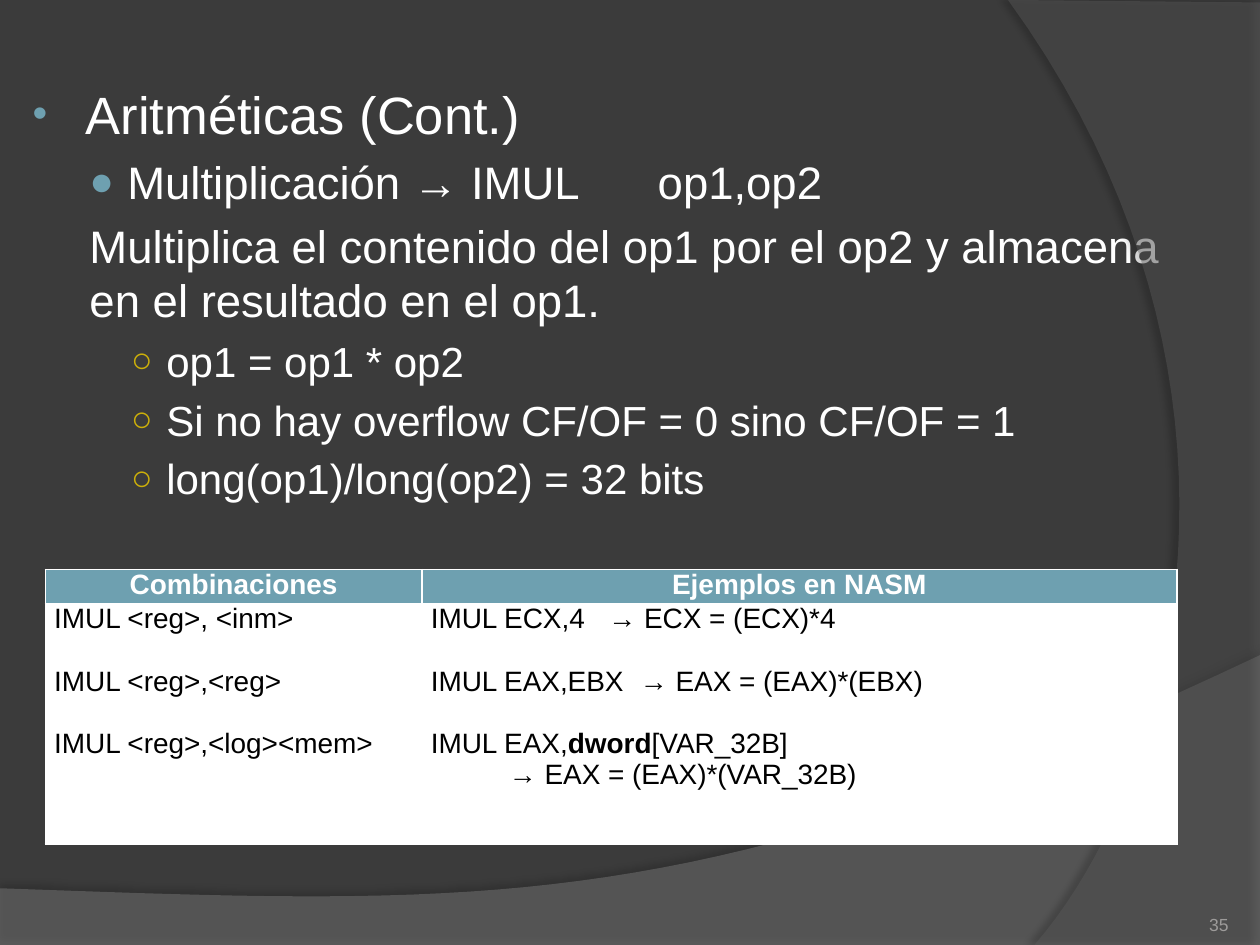
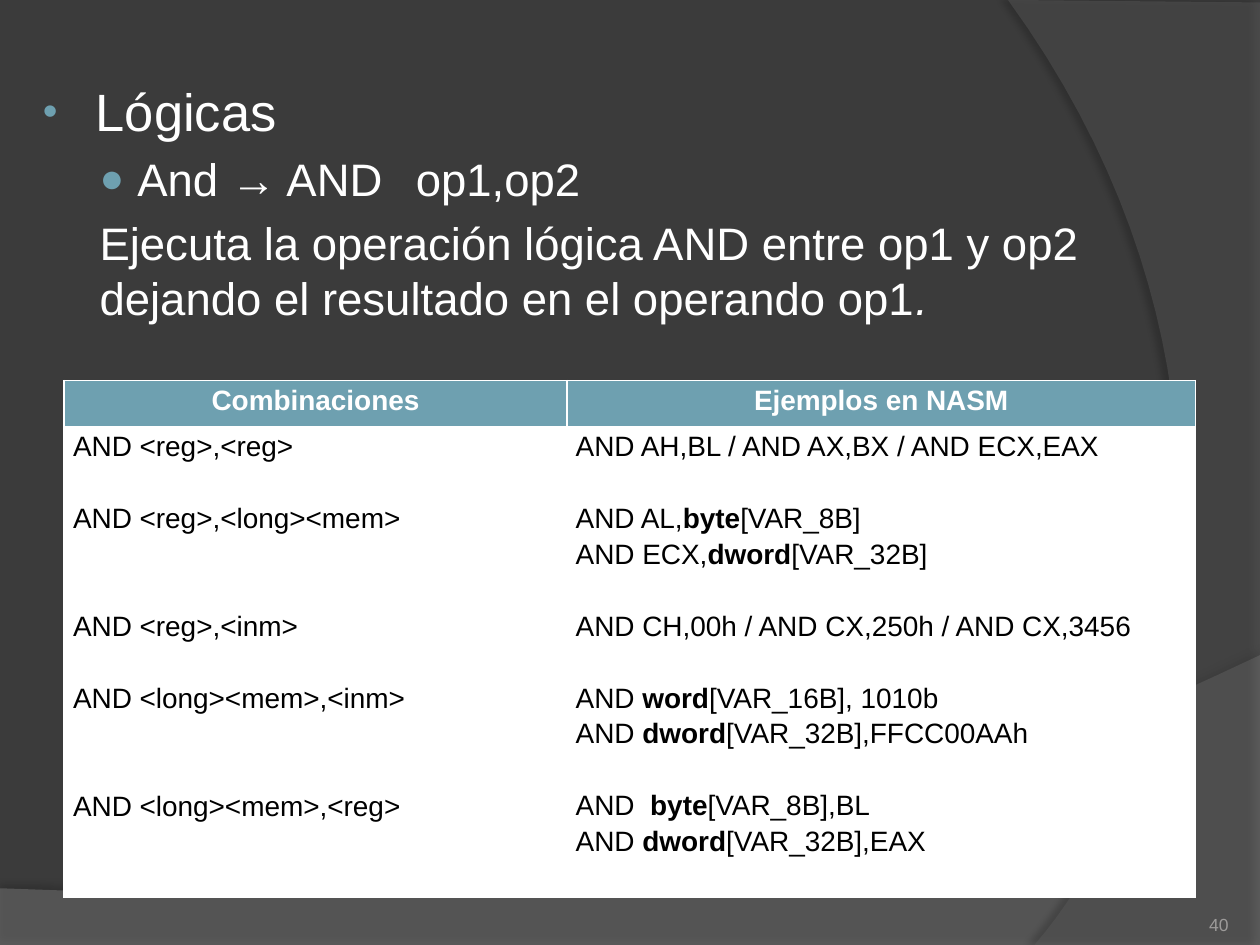
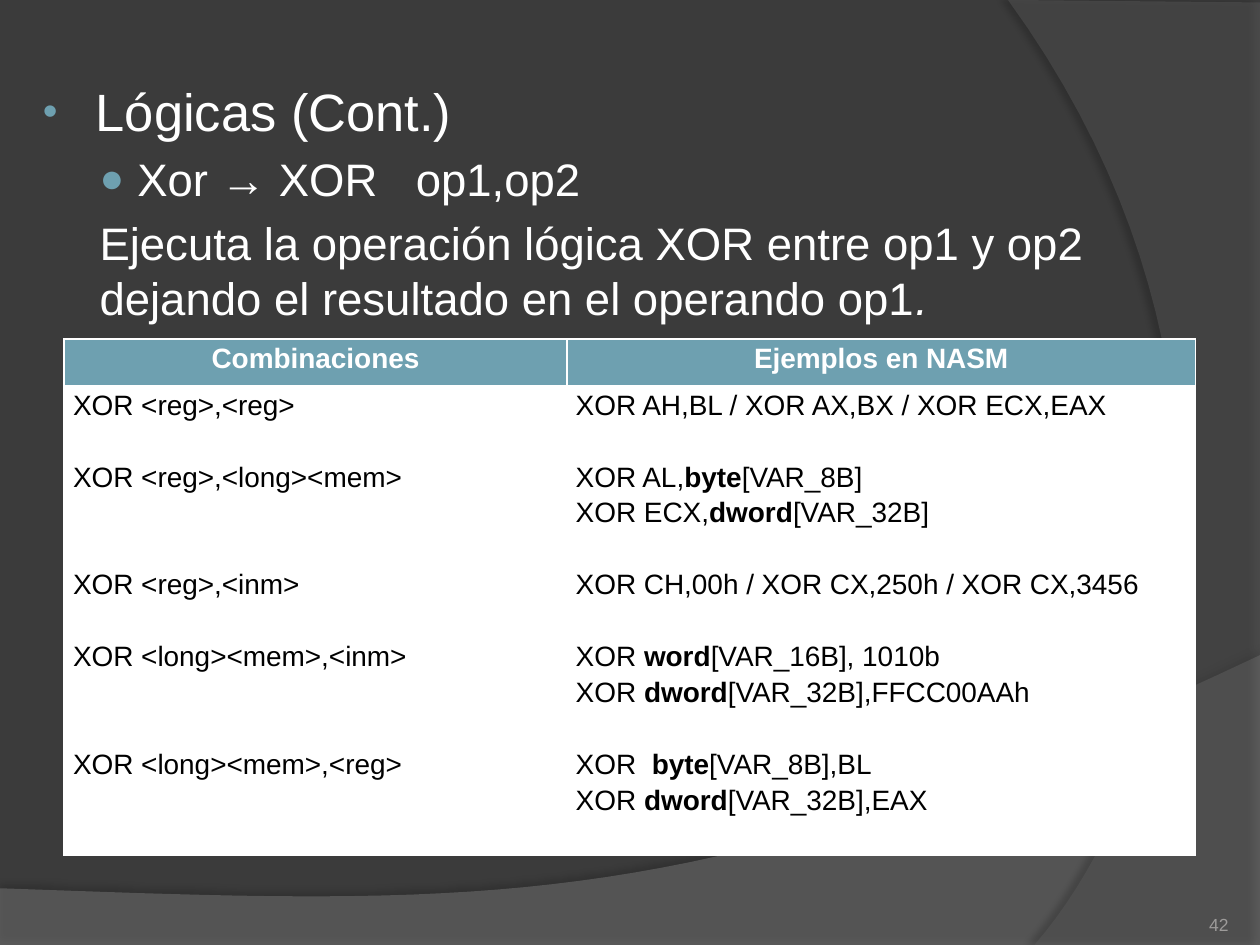
from lxml.etree import SubElement
from pptx import Presentation
from pptx.dml.color import RGBColor
from pptx.enum.text import MSO_ANCHOR as Anchor, MSO_AUTO_SIZE as AutoSize, PP_ALIGN as Align
from pptx.oxml.ns import qn
from pptx.util import Inches, Pt

COLORS = {
    "background": "3B3B3B",
    "lower_band": "7F7F7F",
    "right_band": "5E5E5E",
    "shadow": "000000",
    "accent": "6EA0B0",
    "gold": "CCAF0A",
    "light": "FFFFFF",
    "dark": "000000",
    "number": "9D9B9A",
}
FONT = "Arial"
CELL_SIZE = 16
CELL_LINE = 1.117 * CELL_SIZE
STYLES = {
    "heading": dict(level=0, size=30, margin=0.46, indent=-0.42, bullet=("•", "accent", 80)),
    "operation": dict(level=1, size=26, margin=0.79, indent=-0.3, bullet=("●", "accent", 90)),
    "description": dict(level=1, size=26, margin=0.49, indent=0, bullet=None),
    "detail": dict(level=2, size=24, margin=1.1, indent=-0.28, bullet=("○", "gold", 85)),
}


def rgb(name):
    return RGBColor.from_string(COLORS[name])


def add_element(parent, tag, **attributes):
    return SubElement(parent, qn(tag), {key: str(value) for key, value in attributes.items()})


def add_color(parent, name, alpha=None):
    color = add_element(parent, "a:srgbClr", val=COLORS[name])
    if alpha is not None:
        add_element(color, "a:alpha", val=alpha * 1000)


def add_run(paragraph, text, size, color, bold=False, italic=False):
    run = paragraph.add_run()
    run.text = text
    font = run.font
    font.name, font.size, font.bold, font.italic = FONT, Pt(size), bold, italic
    font.color.rgb = rgb(color)


def add_marked_runs(paragraph, text, size, color, emphasis):
    for index, piece in enumerate(text.split("|")):
        if piece:
            add_run(paragraph, piece, size, color, **{emphasis: index % 2 == 1})


def get_paragraph(frame, index):
    return frame.paragraphs[0] if index == 0 else frame.add_paragraph()


def curve(start, control_1, control_2, end, steps=40):
    points = []
    for step in range(1, steps + 1):
        t = step / steps
        weights = ((1 - t) ** 3, 3 * t * (1 - t) ** 2, 3 * t * t * (1 - t), t ** 3)
        corners = (start, control_1, control_2, end)
        points.append(tuple(sum(w * corner[axis] for w, corner in zip(weights, corners))
                            for axis in (0, 1)))
    return points


def add_band(slide, points, color, alpha, shadow_alpha, distance, direction):
    outline = [(Inches(x), Inches(y)) for x, y in points]
    builder = slide.shapes.build_freeform(*outline[0])
    builder.add_line_segments(outline[1:], close=True)
    shape = builder.convert_to_shape()
    shape.fill.solid()
    shape.fill.fore_color.rgb = rgb(color)
    shape.line.fill.background()
    shape.shadow.inherit = False
    properties = shape._element.spPr
    add_element(properties.find(qn("a:solidFill"))[0], "a:alpha", val=alpha * 1000)
    shadow = add_element(properties.find(qn("a:effectLst")), "a:outerShdw", blurRad=Pt(4),
                         dist=Pt(distance), dir=direction * 60000, algn="ctr", rotWithShape=0)
    add_color(shadow, "shadow", shadow_alpha)


def add_bands(slide):
    lower = [(0, 7.05), (0, 7.5), (10, 7.5), (10, 5.2)]
    lower += curve((10, 5.2), (5.59, 7.29), (3.91, 7.19), (0, 7.05))
    add_band(slide, lower, "lower_band", 45, 35, 3.5, 270)
    right = [(10, 0.02), (10, 7.5), (8.21, 7.5)]
    right += curve((8.21, 7.5), (9.35, 6.19), (10.18, 3), (8, 0))
    add_band(slide, right, "right_band", 40, 45, 4, 180)


def format_body_paragraph(paragraph, style, first):
    paragraph.level = style["level"]
    paragraph.alignment = Align.LEFT
    properties = paragraph._p.get_or_add_pPr()
    properties.set("marL", str(Inches(style["margin"])))
    properties.set("indent", str(Inches(style["indent"])))
    properties.set("defTabSz", str(Inches(1)))
    if style["bullet"]:
        symbol, color, percent = style["bullet"]
        add_color(add_element(properties, "a:buClr"), color)
        add_element(properties, "a:buSzPct", val=percent * 1000)
        add_element(properties, "a:buFont", typeface=FONT)
        add_element(properties, "a:buChar", char=symbol)
    else:
        add_element(properties, "a:buNone")
    paragraph.line_spacing = Pt(1.2 * style["size"])
    paragraph.space_before = Pt(0 if first else 0.2 * style["size"])


def fill_body(slide, box, items):
    body = slide.placeholders[1]
    body.left, body.top, body.width, body.height = map(Inches, box)
    frame = body.text_frame
    frame.word_wrap = True
    frame.auto_size = AutoSize.NONE
    frame.vertical_anchor = Anchor.TOP
    for index, (style_name, text) in enumerate(items):
        style = STYLES[style_name]
        paragraph = get_paragraph(frame, index)
        format_body_paragraph(paragraph, style, index == 0)
        add_marked_runs(paragraph, text, style["size"], "light", "italic")


def add_slide_number(slide, box, number):
    shape = slide.shapes.add_textbox(*map(Inches, box))
    frame = shape.text_frame
    frame.word_wrap = True
    frame.vertical_anchor = Anchor.BOTTOM
    frame.margin_left = frame.margin_top = frame.margin_right = frame.margin_bottom = 0
    paragraph = frame.paragraphs[0]
    paragraph.alignment = Align.RIGHT
    add_run(paragraph, str(number), 10, "number")


def format_cell(cell, fill):
    cell.margin_left = cell.margin_right = Inches(0.07)
    cell.margin_top = cell.margin_bottom = 0
    cell.vertical_anchor = Anchor.TOP
    properties = cell._tc.get_or_add_tcPr()
    for side in ("a:lnL", "a:lnR", "a:lnT", "a:lnB"):
        line = add_element(properties, side, w=Pt(1))
        add_color(add_element(line, "a:solidFill"), "light")
    cell.fill.solid()
    cell.fill.fore_color.rgb = rgb(fill)


def fill_code_cell(cell, lines, spacing):
    for index, (gap, text, *options) in enumerate(lines):
        paragraph = get_paragraph(cell.text_frame, index)
        properties = paragraph._p.get_or_add_pPr()
        for name, position in options:
            if name == "tab":
                tabs = add_element(properties, "a:tabLst")
                add_element(tabs, "a:tab", pos=Inches(position), algn="l")
            else:
                properties.set("marL", str(Inches(position)))
        paragraph.line_spacing = spacing
        paragraph.space_before = Pt(round(gap * spacing * CELL_LINE, 1))
        add_marked_runs(paragraph, text, CELL_SIZE, "dark", "bold")


def add_code_table(slide, position, widths, heights, columns, spacing):
    left, top = position
    frame = slide.shapes.add_table(2, 2, Inches(left), Inches(top),
                                   Inches(sum(widths)), Inches(sum(heights)))
    table = frame.table
    table.horz_banding = False
    for row, height in zip(table.rows, heights):
        row.height = Inches(height)
    headers = ("Combinaciones", "Ejemplos en NASM")
    for index, (width, header, lines) in enumerate(zip(widths, headers, columns)):
        table.columns[index].width = Inches(width)
        header_cell, code_cell = table.cell(0, index), table.cell(1, index)
        format_cell(header_cell, "accent")
        format_cell(code_cell, "light")
        paragraph = header_cell.text_frame.paragraphs[0]
        paragraph.alignment = Align.CENTER
        paragraph.line_spacing = spacing
        add_run(paragraph, header, CELL_SIZE, "light", bold=True)
        fill_code_cell(code_cell, lines, spacing)


def add_base_slide(presentation, number):
    slide = presentation.slides.add_slide(presentation.slide_layouts[1])
    title = slide.shapes.title._element
    title.getparent().remove(title)
    add_bands(slide)
    add_slide_number(slide, (8.92, 7.02, 0.83, 0.4), number)
    return slide


def add_multiplication_slide(presentation):
    slide = add_base_slide(presentation, 35)
    fill_body(slide, (0.12, 0.6, 9.61, 5.78), [
        ("heading", "Aritméticas (Cont.)"),
        ("operation", "Multiplicación → IMUL \top1,op2"),
        ("description", "Multiplica el contenido del op1 por el op2 y almacena "
                        "en el resultado en el op1."),
        ("detail", "op1 = op1 * op2"),
        ("detail", "Si no hay overflow CF/OF = 0 sino CF/OF = 1"),
        ("detail", "long(op1)/long(op2) = 32 bits"),
    ])
    combinations = [(0, "IMUL <reg>, <inm>"), (1, "IMUL <reg>,<reg>"),
                    (1, "IMUL <reg>,<log><mem>")]
    examples = [
        (0, "IMUL ECX,4\t→ ECX = (ECX)*4", ("tab", 1.41)),
        (1, "IMUL EAX,EBX\t→ EAX = (EAX)*(EBX)", ("tab", 1.66)),
        (1, "IMUL EAX,|dword|[VAR_32B]"),
        (0, "→ EAX = (EAX)*(VAR_32B)", ("margin", 0.62)),
    ]
    add_code_table(slide, (0.36, 4.52), (2.99, 5.99), (0.27, 1.91),
                   (combinations, examples), 1.0)


def add_logic_slide(presentation, number, heading, name, table_top):
    slide = add_base_slide(presentation, number)
    code = name.upper()
    fill_body(slide, (0.2, 0.58, 9.61, 4.73), [
        ("heading", heading),
        ("operation", f"{name} → {code}\top1,op2"),
        ("description", f"Ejecuta la operación lógica {code} entre op1 y op2 "
                        "dejando el resultado en el operando op1|.|"),
    ])
    combinations = [
        (0, f"{code} <reg>,<reg>"),
        (1, f"{code} <reg>,<long><mem>"),
        (2, f"{code} <reg>,<inm>"),
        (1, f"{code} <long><mem>,<inm>"),
        (2, f"{code} <long><mem>,<reg>"),
    ]
    examples = [
        (0, f"{code} AH,BL / {code} AX,BX / {code} ECX,EAX"),
        (1, f"{code} AL,|byte|[VAR_8B]"),
        (0, f"{code} ECX,|dword|[VAR_32B]"),
        (1, f"{code} CH,00h / {code} CX,250h / {code} CX,3456"),
        (1, f"{code} |word|[VAR_16B], 1010b"),
        (0, f"{code} |dword|[VAR_32B],FFCC00AAh"),
        (1, f"{code}  |byte|[VAR_8B],BL"),
        (0, f"{code} |dword|[VAR_32B],EAX"),
    ]
    add_code_table(slide, (0.51, table_top), (3.99, 4.99), (0.37, 3.73),
                   (combinations, examples), 1.15)


def main():
    presentation = Presentation()
    presentation.slide_width, presentation.slide_height = Inches(10), Inches(7.5)
    background = presentation.slide_master.background.fill
    background.solid()
    background.fore_color.rgb = rgb("background")
    add_multiplication_slide(presentation)
    add_logic_slide(presentation, 40, "Lógicas", "And", 3.02)
    add_logic_slide(presentation, 42, "Lógicas (Cont.)", "Xor", 2.69)
    presentation.save("out.pptx")


if __name__ == "__main__":
    main()
